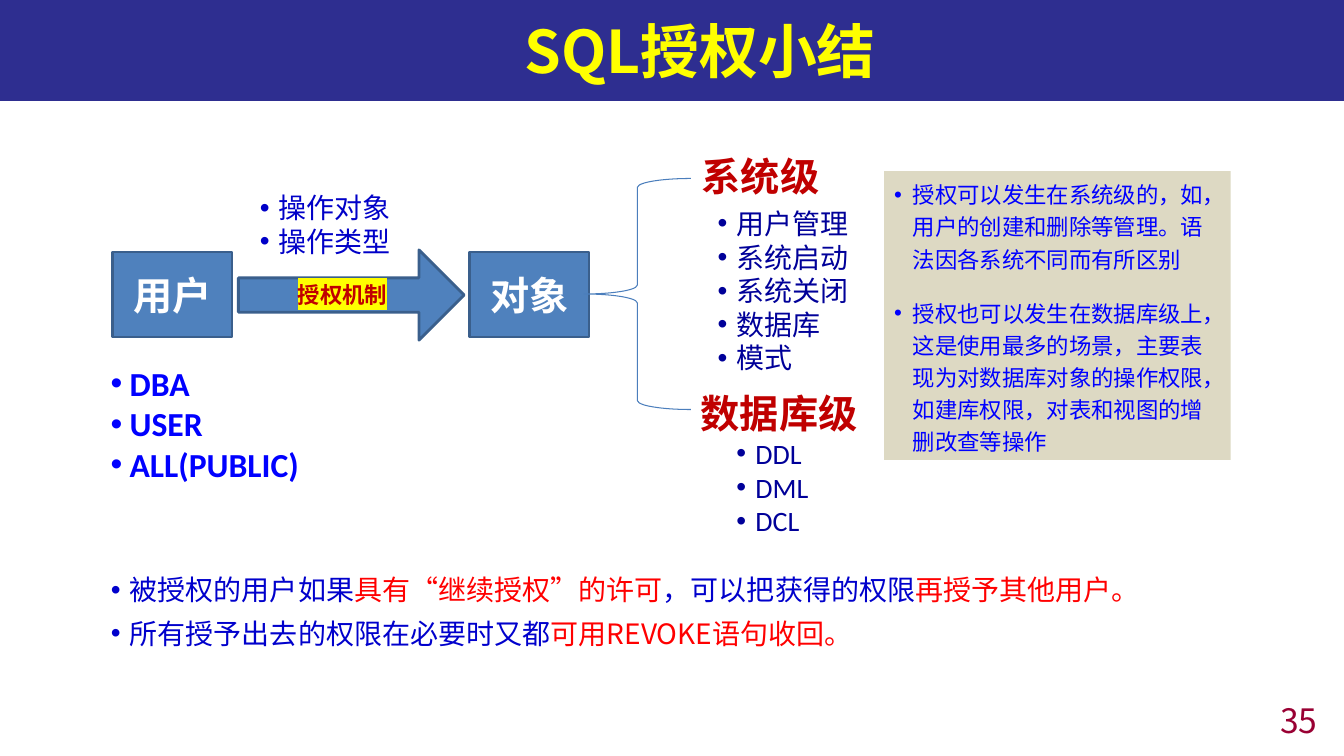
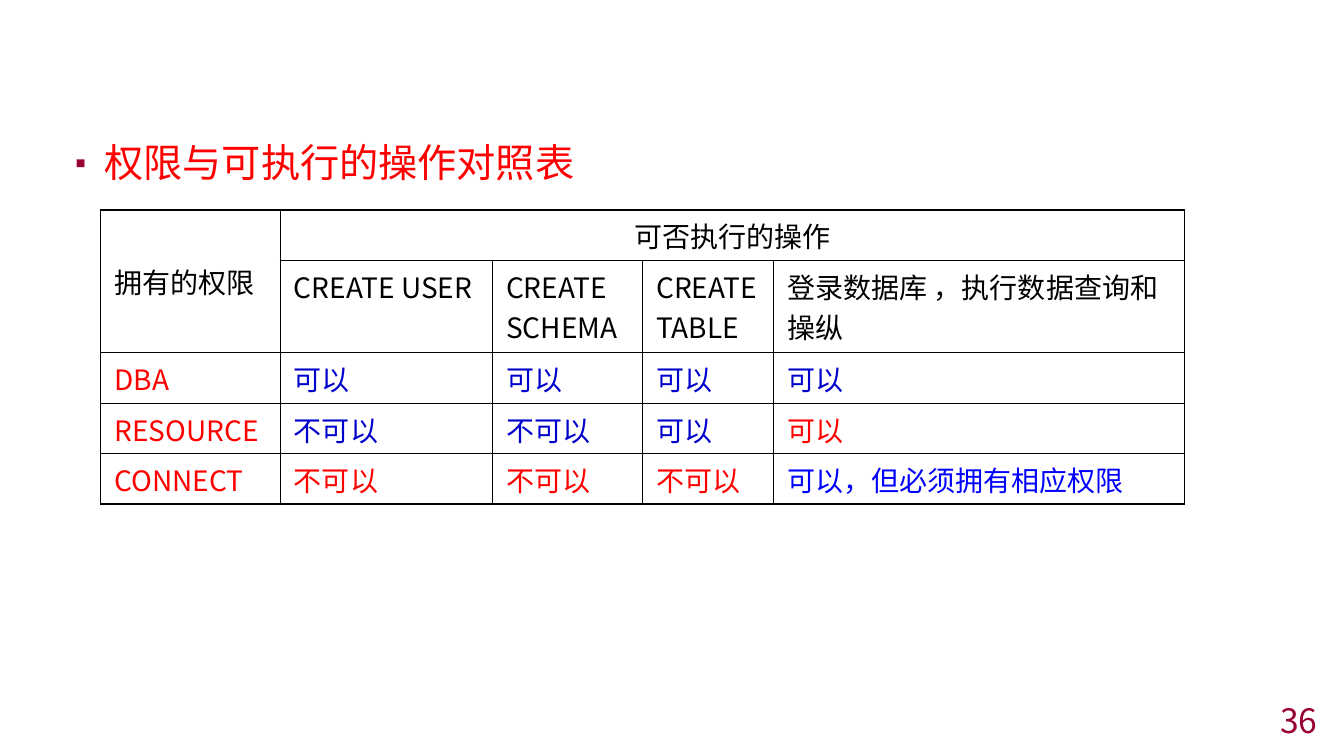
"""Builds two slides that sum up SQL authorization."""
import lxml.etree
import pptx
import pptx.dml.color
import pptx.enum.shapes
import pptx.enum.text
import pptx.oxml.ns
import pptx.util

RGB = pptx.dml.color.RGBColor
ALIGN = pptx.enum.text.PP_ALIGN
ANCHOR = pptx.enum.text.MSO_ANCHOR
SHAPE = pptx.enum.shapes.MSO_SHAPE

NAVY = RGB(0x00, 0x00, 0x78)
YELLOW = RGB(0xFF, 0xFF, 0x00)
WHITE = RGB(0xFF, 0xFF, 0xFF)
BLACK = RGB(0x00, 0x00, 0x00)
RED = RGB(0xFF, 0x00, 0x00)
DARK_RED = RGB(0xC0, 0x00, 0x00)
MAROON = RGB(0x99, 0x00, 0x33)
BLUE = RGB(0x00, 0x00, 0xFF)
MID_BLUE = RGB(0x00, 0x00, 0xCC)
TYPE_BLUE = RGB(0x00, 0x00, 0xC8)
DARK_BLUE = RGB(0x00, 0x00, 0x99)
STEEL = RGB(0x4F, 0x81, 0xBD)
STEEL_EDGE = RGB(0x3A, 0x5F, 0x8C)
BRACE_EDGE = RGB(0x4B, 0x7E, 0xBC)
SAND = RGB(0xDD, 0xD9, 0xC3)

HAN = "Noto Sans CJK SC"
LATIN = "Calibri"
LEADING = 1.2


def px(length):
    """Turn px into EMU."""
    return pptx.util.Emu(length * 9525)


def child(parent, tag, **attributes):
    """Append a DrawingML element."""
    return lxml.etree.SubElement(parent, pptx.oxml.ns.qn(tag), **attributes)


class Deck:
    """Holds the shared style and the current slide."""

    def __init__(self):
        """Start an empty wide deck."""
        self.deck = pptx.Presentation()
        self.deck.slide_width, self.deck.slide_height = px(1280), px(720)
        self.page = None

    def new_page(self, number):
        """Add a slide with its number."""
        self.page = self.deck.slides.add_slide(self.deck.slide_layouts[1])
        frame = self.text(992, 671, 272, 30, [number], 24, MAROON, align=ALIGN.RIGHT)
        frame.vertical_anchor = ANCHOR.MIDDLE

    def place(self, box, left, top, width, height):
        """Move and size a placeholder."""
        box.left, box.top, box.width, box.height = map(px, (left, top, width, height))
        box.text_frame.auto_size = pptx.enum.text.MSO_AUTO_SIZE.NONE

    def style(self, para, size, color, name=HAN, bold=False):
        """Set the font of a whole paragraph."""
        font = para.font
        font.size, font.bold, font.name = pptx.util.Pt(size), bold, name
        font.color.rgb = color
        child(font._element, "a:ea", typeface=HAN)

    def bullet(self, para, char="•", indent=18, color=None, percent=None):
        """Give a paragraph a hanging bullet."""
        props = para._p.get_or_add_pPr()
        props.set("marL", str(px(indent)))
        props.set("indent", str(px(-indent)))
        if color is not None:
            child(child(props, "a:buClr"), "a:srgbClr", val=str(color))
        if percent:
            child(props, "a:buSzPct", val=str(percent * 1000))
        child(props, "a:buFont", typeface="Arial")
        child(props, "a:buChar", char=char)

    def fill_text(self, frame, lines, size, color, name=HAN, bold=False,
                  align=ALIGN.LEFT, spacing=None, gap=0, bullet=None):
        """Fill a text frame; a line is a string or a list of coloured spans."""
        frame.word_wrap = True
        for index, line in enumerate(lines):
            para = frame.add_paragraph() if index else frame.paragraphs[0]
            para.alignment = align
            para.space_before = pptx.util.Pt(gap if index else 0)
            if spacing:
                para.line_spacing = pptx.util.Pt(round(size * LEADING * spacing, 1))
            if bullet is not None:
                self.bullet(para, **bullet)
            self.style(para, size, color, name, bold)
            spans = [(line, None)] if isinstance(line, str) else line
            for words, tint in spans:
                span = para.add_run()
                span.text = words
                if tint is not None:
                    span.font.color.rgb = tint

    def title(self, words):
        """Fill the title band."""
        box = self.page.shapes.title
        self.place(box, 0, 0, 1280, 96)
        box.fill.solid()
        box.fill.fore_color.rgb = NAVY
        tone = box._element.spPr.find(".//" + pptx.oxml.ns.qn("a:srgbClr"))
        child(tone, "a:alpha", val="82000")
        box.text_frame.margin_left = px(63)
        box.text_frame.vertical_anchor = ANCHOR.MIDDLE
        self.fill_text(box.text_frame, [words], 42, YELLOW, bold=True, align=ALIGN.CENTER)

    def drop_title(self):
        """Remove the unused title."""
        element = self.page.shapes.title._element
        element.getparent().remove(element)

    def body(self, left, top, width, height, lines, size, color, **options):
        """Fill the body placeholder."""
        box = self.page.placeholders[1]
        self.place(box, left, top, width, height)
        self.fill_text(box.text_frame, lines, size, color, **options)

    def text(self, left, top, width, height, lines, size, color, **options):
        """Add a text box and return its frame."""
        box = self.page.shapes.add_textbox(*map(px, (left, top, width, height)))
        self.fill_text(box.text_frame, lines, size, color, **options)
        return box.text_frame

    def shape(self, kind, left, top, width, height, fill=None, edge=None, weight=2):
        """Add a preset shape."""
        box = self.page.shapes.add_shape(kind, *map(px, (left, top, width, height)))
        box.shadow.inherit = False
        if fill is None:
            box.fill.background()
        else:
            box.fill.solid()
            box.fill.fore_color.rgb = fill
        if edge is None:
            box.line.fill.background()
        else:
            box.line.color.rgb = edge
            box.line.width = pptx.util.Pt(weight)
        return box

    def label(self, box, words, size, color):
        """Centre a bold label in a shape."""
        box.text_frame.vertical_anchor = ANCHOR.MIDDLE
        self.fill_text(box.text_frame, [words], size, color, bold=True, align=ALIGN.CENTER)

    def highlight(self, box, color):
        """Mark the text of a shape."""
        for span in box.text_frame.paragraphs[0].runs:
            mark = child(span._r.get_or_add_rPr(), "a:highlight")
            child(mark, "a:srgbClr", val=str(color))

    def border(self, cell):
        """Draw thin black lines round a cell."""
        props = cell._tc.get_or_add_tcPr()
        for side in ("a:lnL", "a:lnR", "a:lnT", "a:lnB"):
            line = child(props, side, w=str(pptx.util.Pt(1)))
            child(child(line, "a:solidFill"), "a:srgbClr", val=str(BLACK))

    def table(self, left, top, widths, heights, rows):
        """Add a ruled table; a cell is words and a colour, or None if merged."""
        area = map(px, (left, top, sum(widths), sum(heights)))
        grid = self.page.shapes.add_table(len(rows), len(widths), *area).table
        grid.first_row = grid.horz_banding = False
        for column, width in zip(grid.columns, widths):
            column.width = px(width)
        for row, height in zip(grid.rows, heights):
            row.height = px(height)
        for y, row in enumerate(rows):
            for x, content in enumerate(row):
                cell = grid.cell(y, x)
                cell.margin_left = cell.margin_right = px(13)
                cell.margin_top = cell.margin_bottom = px(5)
                self.border(cell)
                cell.fill.background()
                if content is not None:
                    self.fill_text(cell.text_frame, [content[0]], 20, content[1])
        return grid


def summary_page(deck):
    """Draw the authorization diagram."""
    deck.new_page("35")
    deck.title("SQL授权小结")
    for left, words in ((107, "用户"), (447, "对象")):
        box = deck.shape(SHAPE.RECTANGLE, left, 240, 114, 81, STEEL, STEEL_EDGE)
        deck.label(box, words, 28, WHITE)
    deck.shape(SHAPE.LEFT_BRACE, 556, 170, 102, 220, edge=BRACE_EDGE, weight=0.75)
    for left, top, width, words in ((659, 140, 141, "系统级"), (658, 366, 170, "数据库级")):
        deck.text(left, top, width, 55, [words], 28, DARK_RED, bold=True, spacing=1)

    arrow = deck.shape(SHAPE.RIGHT_ARROW, 227, 238, 215, 86, STEEL, STEEL_EDGE)
    arrow.adjustments[0] = 0.38
    arrow.adjustments[1] = 0.5
    deck.label(arrow, "授权机制", 16, DARK_RED)
    deck.highlight(arrow, YELLOW)

    listing = {"spacing": 1, "bullet": {}}
    deck.text(674, 192, 151, 171, ["用户管理", "系统启动", "系统关闭", "数据库", "模式"],
              20, DARK_BLUE, **listing)
    deck.text(692, 411, 101, 107, ["DDL", "DML", "DCL"], 20, DARK_BLUE, name=LATIN, **listing)
    deck.text(96, 341, 215, 126, ["DBA", "USER", "ALL(PUBLIC)"], 24, BLUE,
              name=LATIN, bold=True, **listing)
    deck.text(238, 177, 148, 74, ["操作对象", "操作类型"], 20, TYPE_BLUE, **listing)

    deck.body(96, 531, 1052, 89, [
        [("被授权的用户如果", None), ("具有“继续授权”的许可", RED),
         ("，可以把获得的权限", None), ("再授予其他用户。", RED)],
        [("所有授予出去的权限在必要时又都", None), ("可用REVOKE语句收回。", RED)],
    ], 20, MID_BLUE, align=ALIGN.JUSTIFY, spacing=1.3, bullet={})

    panel = deck.shape(SHAPE.RECTANGLE, 842, 163, 330, 275, SAND)
    panel.text_frame.vertical_anchor = ANCHOR.TOP
    deck.fill_text(panel.text_frame, [
        "授权可以发生在系统级的，如，用户的创建和删除等管理。语法因各系统不同而有所区别",
        "授权也可以发生在数据库级上，这是使用最多的场景，主要表现为对数据库对象的操作权限，"
        "如建库权限，对表和视图的增删改查等操作",
    ], 16, BLUE, spacing=1.2, gap=15.5, bullet={})


def rights_page(deck):
    """Draw the table of rights and operations."""
    deck.new_page("36")
    deck.drop_title()
    deck.body(62, 121, 1156, 567, ["权限与可执行的操作对照表"], 28, RED, spacing=1.14,
              bullet={"char": "▪", "indent": 28, "color": MAROON, "percent": 80})
    yes, no, denied = ("可以", MID_BLUE), ("不可以", MID_BLUE), ("不可以", RED)
    heads = ("CREATE USER", "CREATE SCHEMA", "CREATE TABLE", "登录数据库 ，执行数据查询和操纵")
    grid = deck.table(96, 200, (171, 202, 143, 125, 391), (48, 88, 48, 48, 48), [
        [("拥有的权限", BLACK), ("可否执行的操作", BLACK), None, None, None],
        [None] + [(head, BLACK) for head in heads],
        [("DBA", RED), yes, yes, yes, yes],
        [("RESOURCE", RED), no, no, yes, ("可以", RED)],
        [("CONNECT", RED), denied, denied, denied, ("可以，但必须拥有相应权限", BLUE)],
    ])
    grid.cell(0, 0).merge(grid.cell(1, 0))
    grid.cell(0, 1).merge(grid.cell(0, 4))
    for x in (0, 1):
        grid.cell(0, x).vertical_anchor = ANCHOR.MIDDLE
    grid.cell(0, 1).text_frame.paragraphs[0].alignment = ALIGN.CENTER


def main():
    """Build and save the deck."""
    deck = Deck()
    summary_page(deck)
    rights_page(deck)
    deck.deck.save("out.pptx")


if __name__ == "__main__":
    main()
